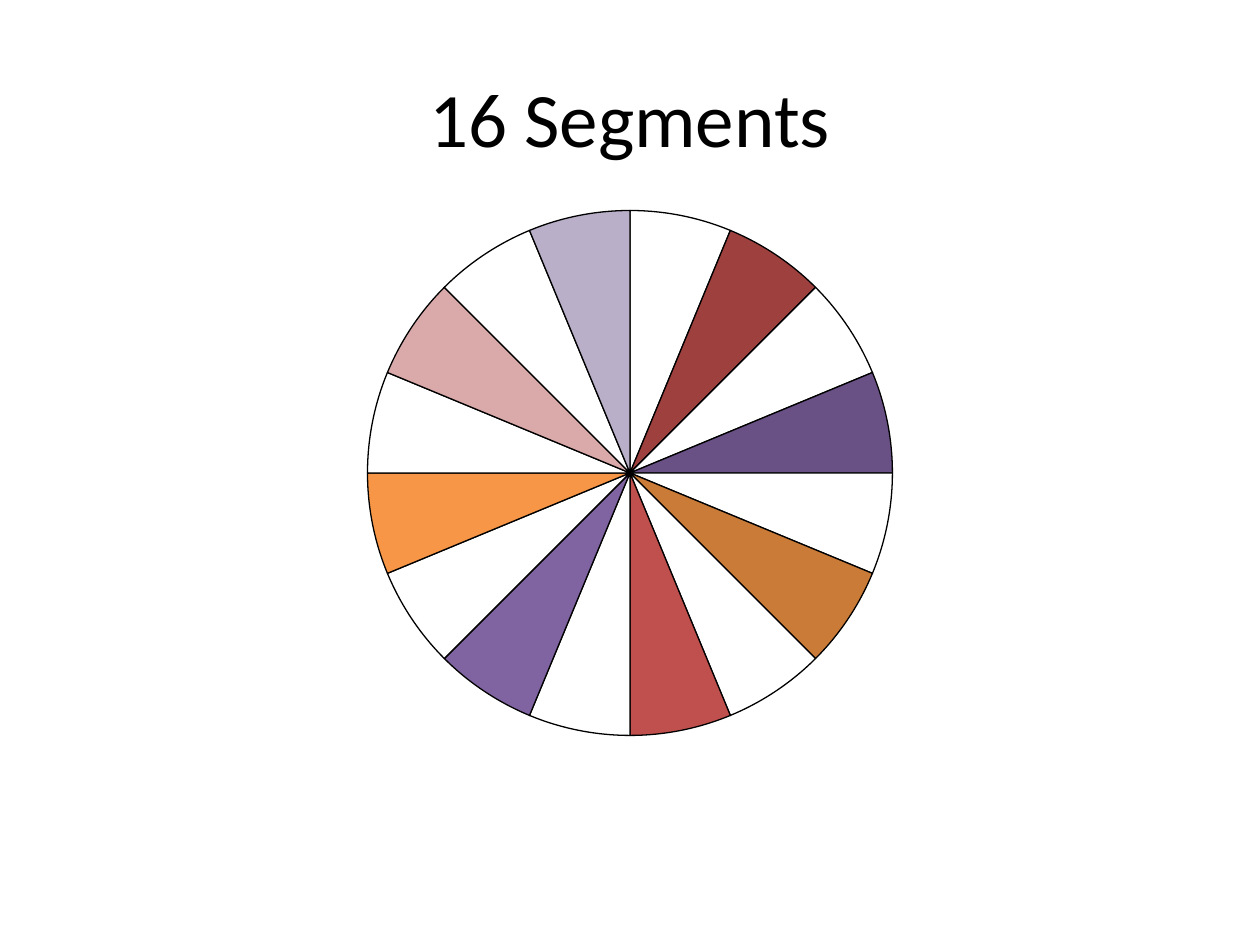
from dataclasses import dataclass

from lxml import etree
from pptx import Presentation
from pptx.chart.data import CategoryChartData
from pptx.dml.color import RGBColor
from pptx.enum.chart import XL_CHART_TYPE
from pptx.enum.text import MSO_ANCHOR, PP_ALIGN
from pptx.oxml.ns import qn
from pptx.util import Emu, Pt

PIE = XL_CHART_TYPE.PIE
MIDDLE = MSO_ANCHOR.MIDDLE
CENTER = PP_ALIGN.CENTER

PIXELS_PER_INCH = 126
FONT = "Calibri"
BLACK = "000000"
WHITE = "FFFFFF"
SEGMENT_VALUE = 6
# Every second segment, clockwise from the top
ACCENTS = ["9E413E", "6A5185", "CB7B38", "C0504D",
           "8064A2", "F79646", "D9AAA9", "B9AFC8"]


@dataclass
class Box:
    left: int
    top: int
    width: int
    height: int

    def emu(self) -> list[Emu]:
        return [px(value) for value in (self.left, self.top, self.width, self.height)]


TITLE_BOX = Box(63, 38, 1134, 157)
CHART_BOX = Box(210, 193, 840, 560)
PIE_DIAMETER = 525


def px(length: int) -> Emu:
    return Emu(round(length * 914400 / PIXELS_PER_INCH))


def color(value: str) -> RGBColor:
    return RGBColor.from_string(value)


def style_font(font, size: int) -> None:
    font.name = FONT
    font.size = Pt(size)
    font.color.rgb = color(BLACK)


def add_title(slide, text: str, box: Box) -> None:
    frame = slide.shapes.add_textbox(*box.emu()).text_frame
    frame.word_wrap = True
    frame.vertical_anchor = MIDDLE
    paragraph = frame.paragraphs[0]
    paragraph.text = text
    paragraph.alignment = CENTER
    style_font(paragraph.font, 44)


def center_plot(chart, box: Box, diameter: int) -> None:
    """Fix the pie's size and centre it in the chart."""
    plot_area = chart.plots[0]._element.getparent()
    layout = plot_area.find(qn("c:layout"))
    if layout is None:
        layout = etree.Element(qn("c:layout"))
        plot_area.insert(0, layout)
    manual = etree.SubElement(layout, qn("c:manualLayout"))
    width, height = diameter / box.width, diameter / box.height
    settings = {"layoutTarget": "inner", "xMode": "edge", "yMode": "edge",
                "x": (1 - width) / 2, "y": (1 - height) / 2,
                "w": width, "h": height}
    for name, value in settings.items():
        etree.SubElement(manual, qn(f"c:{name}")).set("val", str(value))


def add_wheel(slide, colors: list[str], box: Box) -> None:
    data = CategoryChartData()
    data.categories = [str(number) for number in range(1, len(colors) + 1)]
    data.add_series("Series 1", [SEGMENT_VALUE] * len(colors))
    chart = slide.shapes.add_chart(PIE, *box.emu(), data).chart
    chart.has_title = False
    chart.has_legend = False
    style_font(chart.font, 18)
    plot = chart.plots[0]
    plot.vary_by_categories = True
    for index, fill_color in enumerate(colors):
        segment = plot.series[0].points[index].format
        segment.fill.solid()
        segment.fill.fore_color.rgb = color(fill_color)
        segment.line.color.rgb = color(BLACK)
        segment.line.width = Pt(0.75)
    center_plot(chart, box, PIE_DIAMETER)


def main() -> None:
    presentation = Presentation()
    presentation.slide_width = px(1260)
    presentation.slide_height = px(945)
    slide = presentation.slides.add_slide(presentation.slide_layouts[6])

    # Wheel of alternating white and coloured segments
    segment_colors = [shade for accent in ACCENTS for shade in (WHITE, accent)]
    add_wheel(slide, segment_colors, CHART_BOX)

    # Title
    add_title(slide, f"{len(segment_colors)} Segments", TITLE_BOX)

    presentation.save("out.pptx")


if __name__ == "__main__":
    main()
